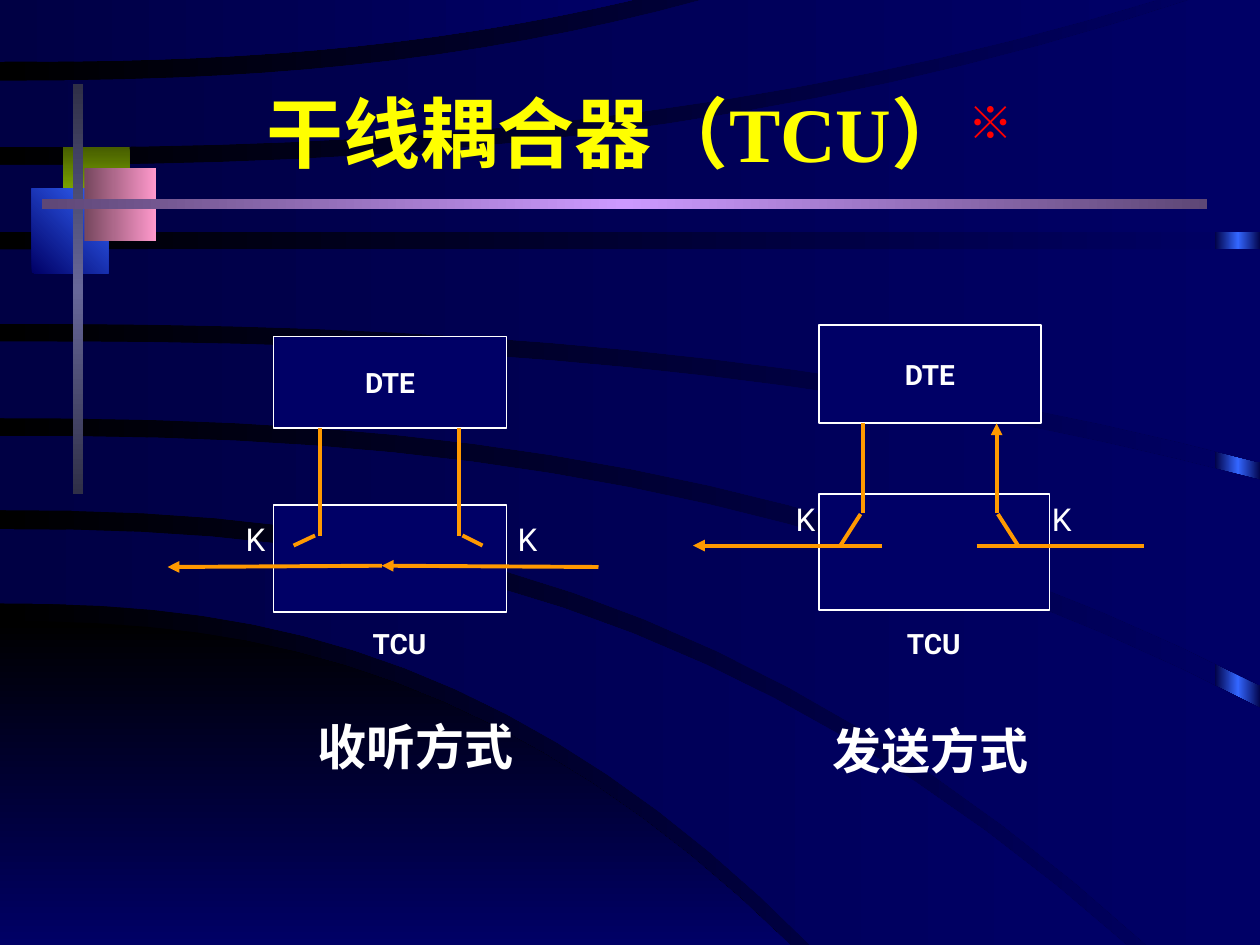
from copy import deepcopy

from pptx import Presentation
from pptx.dml.color import RGBColor
from pptx.enum import shapes, text
from pptx.oxml import ns
from pptx.oxml.xmlchemy import OxmlElement
from pptx.util import Inches, Pt

HUES = {
    "black": "000000", "navy": "000066", "deep": "000044", "blue": "3366FF",
    "moss": "475E00", "lime": "99CC00", "wine": "76475E", "pink": "FF99CC",
    "slate": "2F2F47", "steel": "666699", "plum": "5E4776", "lilac": "CC99FF",
    "yellow": "FFFF00", "red": "FF0000", "white": "FFFFFF", "orange": "FF9900",
}
ALIGN = text.PP_ALIGN
MID = text.MSO_ANCHOR.MIDDLE

# Upper and lower edge of each band: start height, end x, end y
WEDGE = ((4.93, 6.27, 7.5), (7.5, 6.27, 7.5))
BANDS = [
    ((4.2, 8.94, 7.5), (4.79, 6.43, 7.5)),
    ((3.46, 10, 5.62), (4.05, 9.1, 7.5)),
    ((2.71, 10, 3.81), (3.32, 10, 5.44)),
    ((1.98, 10, 1.98), (2.57, 10, 3.67)),
    ((1.31, 9.44, 0), (1.84, 10, 1.84)),
    ((0.64, 5.57, 0), (1.17, 9.18, 0)),
    ((0, 5.02, 0), (0.49, 5.02, 0)),
]
STEPS = 16
BEND = 2.4  # power by which every edge curves away


def rgb(name):
    return RGBColor.from_string(HUES[name])


def blend(fill, names, angle=0):
    """Even gradient; the angle turns clockwise."""
    fill.gradient()
    fill.gradient_angle = -angle % 360
    first = fill.gradient_stops[0]._gs
    for _ in names[2:]:
        first.addnext(deepcopy(first))
    for i, (stop, name) in enumerate(zip(fill.gradient_stops, names)):
        stop.position = i / (len(names) - 1)
        stop.color.rgb = rgb(name)


def write(frame, words, size=16, hue="white", font="Roboto", bold=False,
          align=ALIGN.LEFT, base=0):
    para = frame.paragraphs[0]
    para.alignment = align
    run = para.add_run()
    run.text = words
    run.font.size, run.font.name, run.font.bold = Pt(size), font, bold
    run.font.color.rgb = rgb(hue)
    if base:
        run.font._element.set("baseline", str(base * 1000))


def rect(slide, *box):
    shape = slide.shapes.add_shape(shapes.MSO_SHAPE.RECTANGLE, *map(Inches, box))
    shape.shadow.inherit = False
    return shape


def bar(slide, box, names, angle=0):
    shape = rect(slide, *box)
    blend(shape.fill, names, angle)
    shape.line.fill.background()


def edge(start, x, y):
    return [(x * i / STEPS, start + (y - start) * (i / STEPS) ** BEND)
            for i in range(STEPS + 1)]


def band(slide, edges, names, angle=0):
    upper, lower = edges
    corner = (max(upper[1], lower[1]), min(upper, lower, key=lambda e: e[1])[2])
    points = edge(*upper) + [corner] + edge(*lower)[::-1]
    spots = [(Inches(x), Inches(y)) for x, y in points]
    pen = slide.shapes.build_freeform(*spots[0])
    pen.add_line_segments(spots[1:])
    shape = pen.convert_to_shape()
    shape.shadow.inherit = False
    blend(shape.fill, names, angle)
    shape.line.fill.background()


def block(slide, *box):
    shape = rect(slide, *box)
    shape.fill.solid()
    shape.fill.fore_color.rgb = rgb("navy")
    shape.line.color.rgb = rgb("white")
    shape.line.width = Pt(1)
    return shape


def label(slide, words, x, y, w, h, wrap=False, **style):
    box = slide.shapes.add_textbox(*map(Inches, (x, y, w, h)))
    box.text_frame.word_wrap = wrap
    box.text_frame.auto_size = text.MSO_AUTO_SIZE.SHAPE_TO_FIT_TEXT
    write(box.text_frame, words, **style)


def wire(slide, x, y, ends, arrow=False):
    x1, y1, x2, y2 = ends
    line = slide.shapes.add_connector(
        shapes.MSO_CONNECTOR.STRAIGHT,
        *map(Inches, (x + x1, y + y1, x + x2, y + y2)))
    line.line.color.rgb = rgb("orange")
    line.line.width = Pt(2.25)
    if arrow:
        tip = OxmlElement("a:tailEnd")
        tip.set("type", "triangle")
        line._element.spPr.find(ns.qn("a:ln")).append(tip)
    line._element.spPr.append(OxmlElement("a:effectLst"))


def backdrop(slide):
    blend(slide.background.fill, ["black", "navy"])
    bar(slide, (9.64, 0.02, 0.37, 7.48), ["deep", "blue", "deep"])
    band(slide, WEDGE, ["black", "navy"], 90)
    for edges in BANDS:
        band(slide, edges, ["deep", "navy"])
    # Squares and crossing bars
    bar(slide, (0.5, 1.17, 0.53, 0.52), ["moss", "lime"], 90)
    bar(slide, (0.25, 1.5, 0.61, 0.67), ["navy", "blue"], 315)
    bar(slide, (0.67, 1.33, 0.57, 0.58), ["wine", "pink"])
    bar(slide, (0.58, 0.67, 0.08, 3.25), ["slate", "steel", "slate"], 90)
    bar(slide, (0.33, 1.58, 9.25, 0.08), ["plum", "lilac", "plum"])


def heading(slide, *box):
    title = slide.shapes.title
    slide.shapes._spTree.append(title._element)  # in front of the backdrop
    title.left, title.top, title.width, title.height = map(Inches, box)
    frame = title.text_frame
    frame.vertical_anchor = MID
    style = dict(size=44, font="Times New Roman", bold=True, align=ALIGN.CENTER)
    write(frame, "干线耦合器（TCU）", hue="yellow", **style)
    write(frame, "※", hue="red", base=30, **style)


def station(slide, x, y, dte, tcu, name, caption, wires, arrows):
    """DTE over TCU with wiring; parts are offset from x, y."""
    top = block(slide, x, y, *dte)
    top.text_frame.word_wrap = False
    top.text_frame.vertical_anchor = MID
    write(top.text_frame, "DTE", bold=True, align=ALIGN.CENTER)
    block(slide, x, y + 1.34, *tcu)
    label(slide, "TCU", x + name[0], y + name[1], 0.63, 0.37, bold=True)
    words, left, down = caption
    label(slide, words, x + left, y + down, 1.75, 0.57, size=28, bold=True)
    for ends in wires:
        wire(slide, x, y, ends)
    for ends in arrows:
        wire(slide, x, y, ends, arrow=True)


def listen(slide, x, y):
    station(slide, x, y, (1.85, 0.73), (1.85, 0.85), (0.69, 2.25),
            ("收听方式", 0.25, 2.97),
            wires=[(1.47, 0.73, 1.47, 1.58), (0.37, 0.73, 0.37, 1.58),
                   (1.5, 1.58, 1.66, 1.66), (0.33, 1.58, 0.16, 1.66)],
            arrows=[(0.86, 1.82, -0.84, 1.83), (2.58, 1.83, 0.86, 1.82)])
    for left in (-0.32, 1.84):
        label(slide, "K", x + left, y + 1.41, 0.35, 0.4, size=18)


def send(slide, x, y):
    station(slide, x, y, (1.76, 0.78), (1.83, 0.92), (0.6, 2.34),
            ("发送方式", 0.01, 3.09),
            wires=[(0.35, 0.78, 0.35, 1.49), (0.33, 1.5, 0.17, 1.75),
                   (1.42, 1.5, 1.58, 1.75), (1.25, 1.75, 2.58, 1.75)],
            arrows=[(0.5, 1.75, -1, 1.75), (1.41, 1.49, 1.41, 0.78)])
    for left, align in ((-0.42, ALIGN.RIGHT), (1.75, ALIGN.LEFT)):
        label(slide, "K", x + left, y + 1.34, 0.49, 0.4, wrap=True, size=18, align=align)


def main():
    deck = Presentation()
    deck.slide_width, deck.slide_height = Inches(10), Inches(7.5)
    slide = deck.slides.add_slide(deck.slide_layouts[5])
    backdrop(slide)
    heading(slide, 0.83, 0.42, 8.5, 1.25)
    listen(slide, 2.17, 2.67)
    send(slide, 6.5, 2.58)
    deck.save("out.pptx")


if __name__ == "__main__":
    main()
